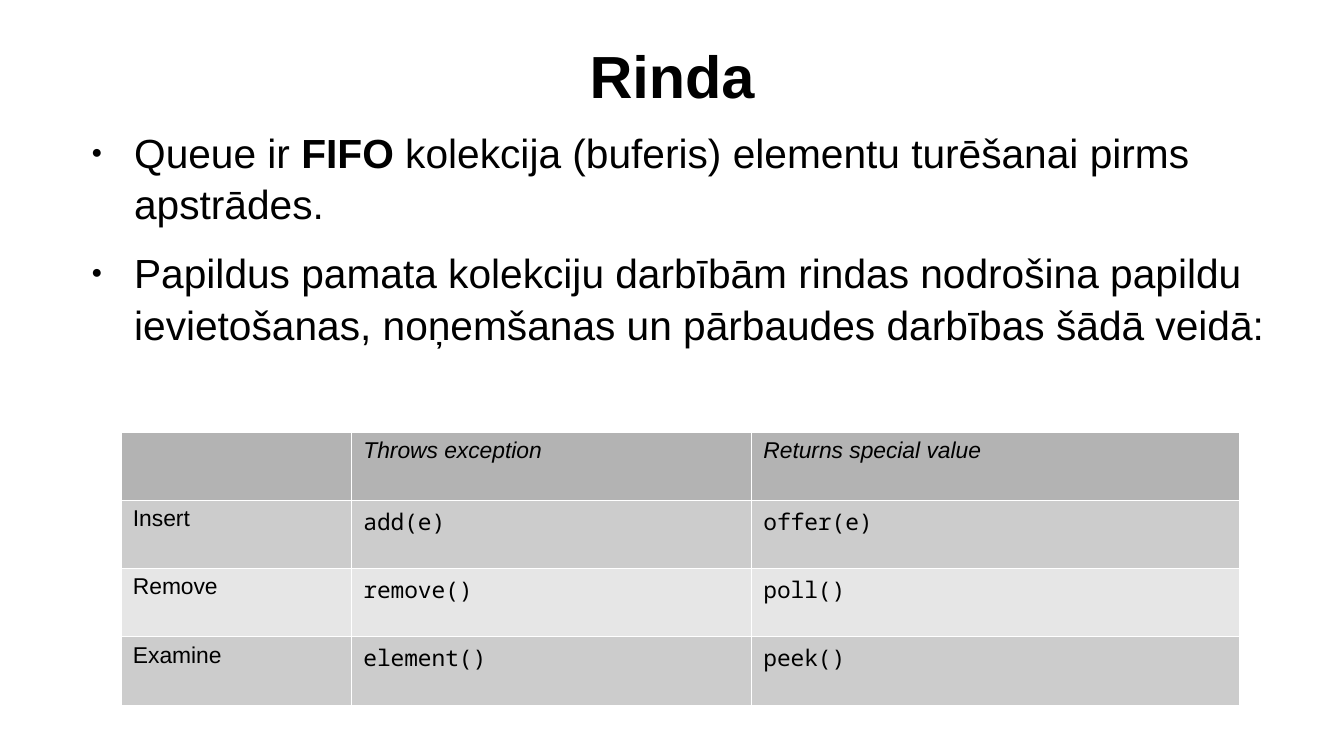
from lxml.etree import SubElement
from pptx import Presentation
from pptx.dml.color import RGBColor
from pptx.enum.text import MSO_ANCHOR, MSO_AUTO_SIZE, PP_ALIGN
from pptx.oxml.ns import qn
from pptx.util import Inches, Pt

BLACK = RGBColor(0x00, 0x00, 0x00)
HEADER_GREY = RGBColor(0xB3, 0xB3, 0xB3)
BAND_GREYS = [RGBColor(0xCC, 0xCC, 0xCC), RGBColor(0xE6, 0xE6, 0xE6)]

ROW_HEIGHT = Inches(0.56)
COLUMN_WIDTHS = [Inches(1.89), Inches(3.28), Inches(4)]

POINTS = [
    [("Queue ir ", False), ("FIFO", True),
     (" kolekcija (buferis) elementu turēšanai pirms apstrādes.", False)],
    [("Papildus pamata kolekciju darbībām rindas nodrošina papildu "
      "ievietošanas, noņemšanas un pārbaudes darbības šādā veidā:", False)],
]
OPERATIONS = [
    ["", "Throws exception", "Returns special value"],
    ["Insert", "add(e)", "offer(e)"],
    ["Remove", "remove()", "poll()"],
    ["Examine", "element()", "peek()"],
]


def set_font(paragraph, size, name="Arial"):
    paragraph.font.size = Pt(size)
    paragraph.font.name = name
    paragraph.font.color.rgb = BLACK


def place(placeholder, left, top, width, height, anchor):
    placeholder.left, placeholder.top = Inches(left), Inches(top)
    placeholder.width, placeholder.height = Inches(width), Inches(height)
    frame = placeholder.text_frame
    frame.margin_left = frame.margin_right = 0
    frame.margin_top = frame.margin_bottom = 0
    frame.auto_size = MSO_AUTO_SIZE.NONE
    frame.word_wrap = True
    frame.vertical_anchor = anchor
    return frame


prs = Presentation()
prs.slide_width, prs.slide_height = Inches(11.02), Inches(6.2)
slide = prs.slides.add_slide(prs.slide_layouts[1])

# Title
title = place(slide.shapes.title, 0.55, 0.25, 9.92, 0.73, MSO_ANCHOR.MIDDLE)
title.text = "Rinda"
heading = title.paragraphs[0]
heading.alignment = PP_ALIGN.CENTER
set_font(heading, 35.1)
heading.font.bold = True

# Bulleted points
body = place(slide.placeholders[1], 0.63, 1.03, 9.92, 2.16, MSO_ANCHOR.TOP)
for index, point in enumerate(POINTS):
    paragraph = body.add_paragraph() if index else body.paragraphs[0]
    paragraph.line_spacing = 1.05
    paragraph.space_before = Pt(0)
    paragraph.space_after = Pt(10.6)
    properties = paragraph._p.get_or_add_pPr()
    properties.set("marL", str(Inches(0.47)))
    properties.set("indent", str(Inches(-0.35)))
    bullet_color = SubElement(properties, qn("a:buClr"))
    SubElement(bullet_color, qn("a:srgbClr"), val=str(BLACK))
    SubElement(properties, qn("a:buSzPct"), val="45000")
    SubElement(properties, qn("a:buChar"), char="●")
    set_font(paragraph, 24)
    for text, bold in point:
        run = paragraph.add_run()
        run.text = text
        run.font.bold = bold

# Table of queue operations
operations = slide.shapes.add_table(
    len(OPERATIONS), len(COLUMN_WIDTHS), Inches(0.99), Inches(3.54),
    sum(COLUMN_WIDTHS), ROW_HEIGHT * len(OPERATIONS)).table
operations.first_row = operations.horz_banding = False
for column, width in zip(operations.columns, COLUMN_WIDTHS):
    column.width = width

for row, labels in enumerate(OPERATIONS):
    operations.rows[row].height = ROW_HEIGHT
    for col, label in enumerate(labels):
        cell = operations.cell(row, col)
        cell.text = label
        is_code = row > 0 and col > 0
        paragraph = cell.text_frame.paragraphs[0]
        set_font(paragraph, 13.5, "Noto Sans Mono" if is_code else "Arial")
        paragraph.font.italic = row == 0

        # Thin white borders come before the fill in the cell properties
        for side in ("a:lnL", "a:lnR", "a:lnT", "a:lnB"):
            border = SubElement(cell._tc.get_or_add_tcPr(), qn(side), w=str(Pt(0.06)))
            border_fill = SubElement(border, qn("a:solidFill"))
            SubElement(border_fill, qn("a:srgbClr"), val="FFFFFF")
        cell.fill.solid()
        cell.fill.fore_color.rgb = BAND_GREYS[(row - 1) % 2] if row else HEADER_GREY

prs.save("out.pptx")
